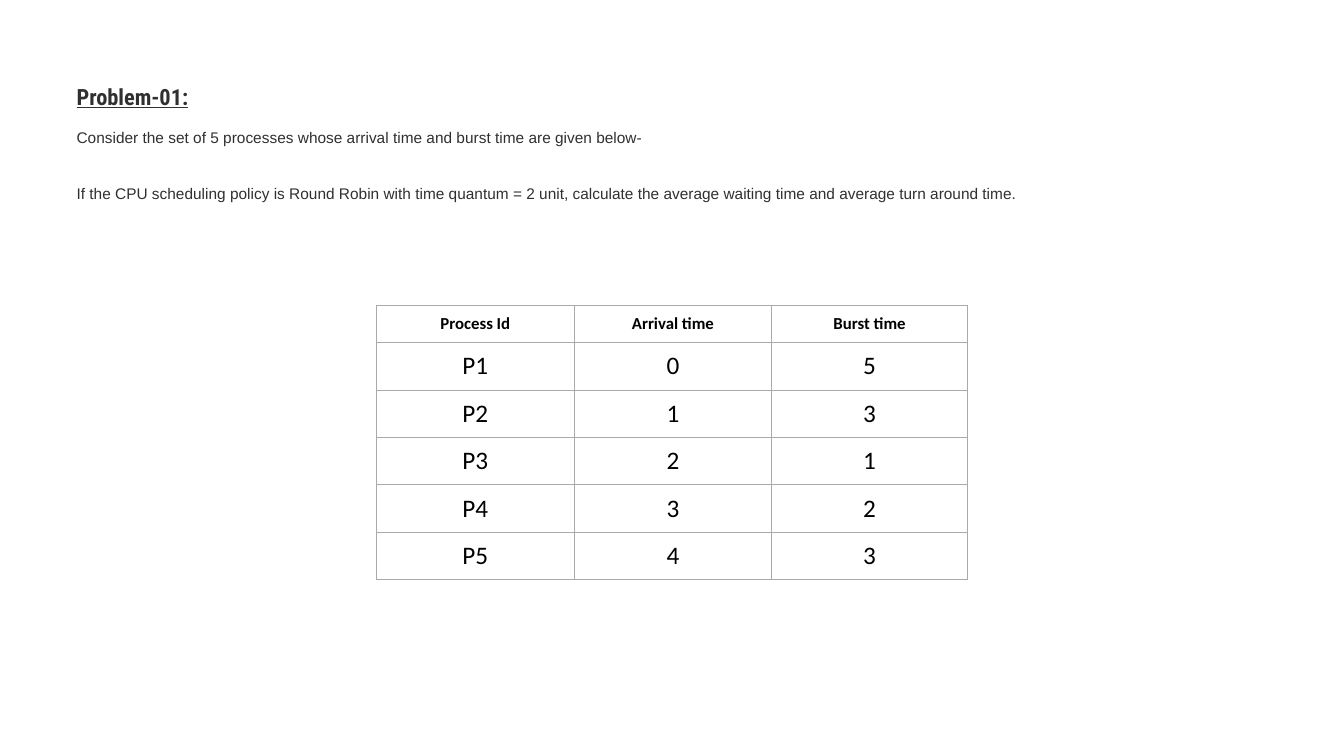
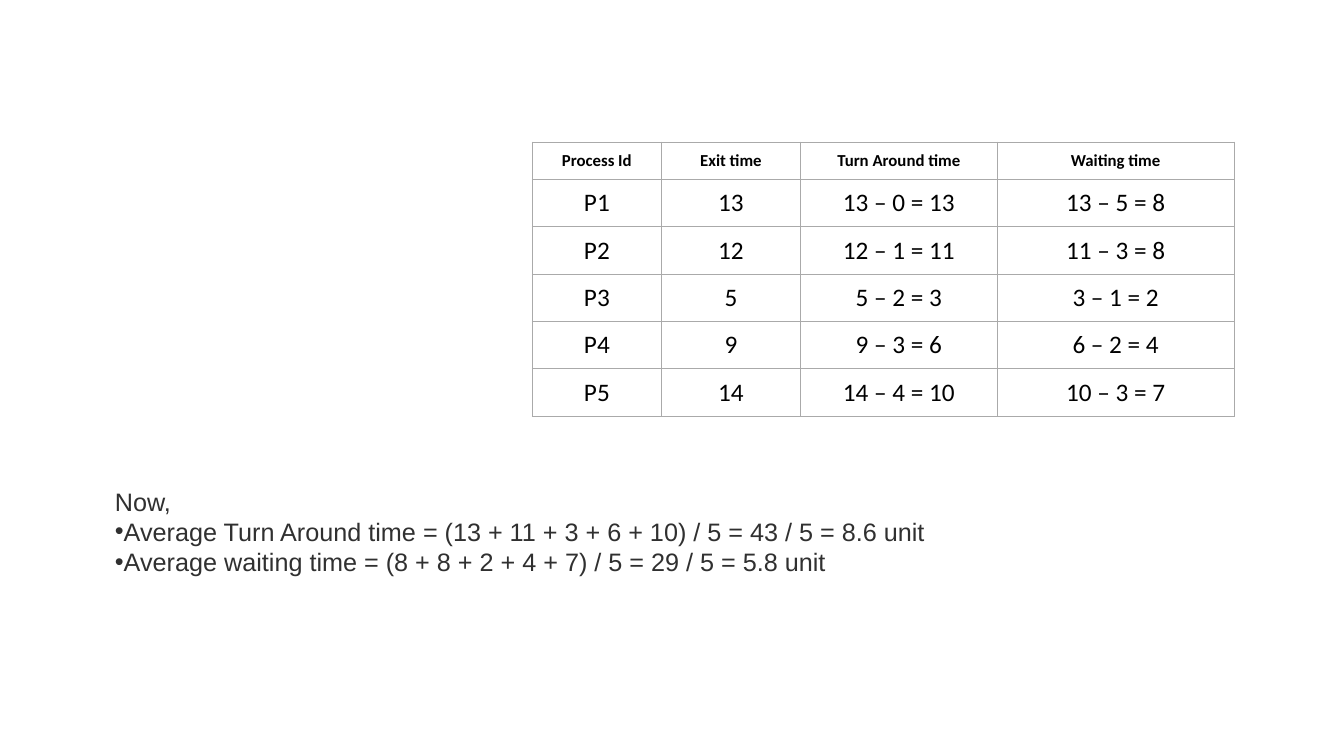
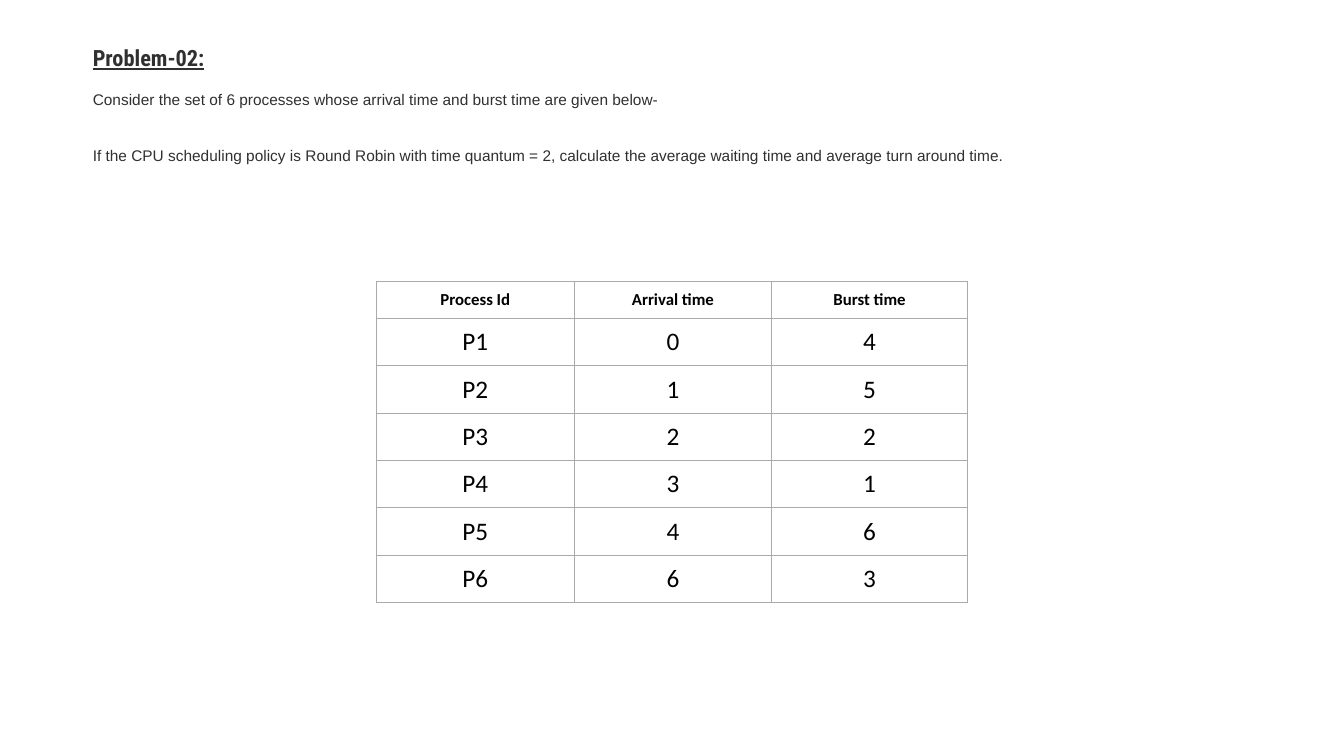
import pptx
import pptx.dml.color
import pptx.enum.text
import pptx.util
from lxml import etree
from pptx.util import Inches, Pt

INK = pptx.dml.color.RGBColor(0x30, 0x30, 0x30)
BLACK = pptx.dml.color.RGBColor(0, 0, 0)
WHITE = pptx.dml.color.RGBColor(0xFF, 0xFF, 0xFF)
GRID = pptx.dml.color.RGBColor(0xAA, 0xAA, 0xAA)
DRAWING_NS = "http://schemas.openxmlformats.org/drawingml/2006/main"

HEADING = {"name": "Roboto Condensed", "size": Pt(16), "bold": True, "underline": True}
STATEMENT = {"name": "Arial", "size": Pt(11), "bold": False}
RESULT = {"name": "Arial", "size": Pt(18), "bold": False}
TABLE_HEADER = {"name": "Calibri", "size": Pt(12), "bold": True}
TABLE_BODY = {"name": "Calibri", "size": Pt(18), "bold": False}

LEFT = pptx.enum.text.PP_ALIGN.LEFT
CENTER = pptx.enum.text.PP_ALIGN.CENTER
FRAME = {
    "margin_left": 0, "margin_right": 0, "margin_bottom": 0,
    "word_wrap": True,
    "auto_size": pptx.enum.text.MSO_AUTO_SIZE.NONE,
    "vertical_anchor": pptx.enum.text.MSO_ANCHOR.TOP,
}
CELL = {
    "margin_left": Inches(0.1), "margin_right": Inches(0.1),
    "margin_top": Inches(0.08), "margin_bottom": Inches(0.08),
    "vertical_anchor": pptx.enum.text.MSO_ANCHOR.MIDDLE,
}

STATEMENT_OFFSET = 0.45
STATEMENT_GAP = 26.7
HEADER_HEIGHT, ROW_HEIGHT = 0.37, 0.47
TIMES_HEADER = ["Process Id", "Arrival time", "Burst time"]
TIMES_WIDTHS = [1.97, 1.95, 1.95]
TIMES_LEFT = 3.73


def apply(target, values):
    for attribute, value in values.items():
        setattr(target, attribute, value)


def write(paragraph, text, style, color, align):
    paragraph.alignment = align
    run = paragraph.add_run()
    run.text = text
    apply(run.font, style)
    run.font.color.rgb = color


def set_bullet(paragraph, bullet):
    """Show the bullet right before the text, or none at all."""
    properties = paragraph._p.get_or_add_pPr()
    properties.set("marL", "0")
    properties.set("indent", "0")
    tag = "buChar" if bullet else "buNone"
    mark = etree.SubElement(properties, f"{{{DRAWING_NS}}}{tag}")
    if bullet:
        mark.set("char", bullet)


def fill_placeholder(placeholder, box, lines, style, gap=0, inset=0):
    """Write (bullet, text) lines from inset down, with a gap after each."""
    placement = zip(("left", "top", "width", "height"), map(Inches, box))
    apply(placeholder, dict(placement))
    frame = placeholder.text_frame
    apply(frame, {**FRAME, "margin_top": Inches(inset)})
    for index, (bullet, text) in enumerate(lines):
        paragraph = frame.add_paragraph() if index else frame.paragraphs[0]
        write(paragraph, text, style, INK, LEFT)
        apply(paragraph, {"space_before": Pt(0), "space_after": Pt(gap), "line_spacing": 1.0})
        set_bullet(paragraph, bullet)


def fill_white(target):
    target.fill.solid()
    target.fill.fore_color.rgb = WHITE


def add_borders(cell):
    properties = cell._tc.get_or_add_tcPr()
    for position, side in enumerate(("lnL", "lnR", "lnT", "lnB")):
        line = etree.Element(f"{{{DRAWING_NS}}}{side}", w=str(Pt(0.75)))
        fill = etree.SubElement(line, f"{{{DRAWING_NS}}}solidFill")
        etree.SubElement(fill, f"{{{DRAWING_NS}}}srgbClr", val=str(GRID))
        properties.insert(position, line)


def add_process_table(slide, left, top, widths, header, processes):
    rows = [header] + processes
    heights = [HEADER_HEIGHT] + [ROW_HEIGHT] * len(processes)
    table = slide.shapes.add_table(
        len(rows), len(widths), Inches(left), Inches(top),
        Inches(sum(widths)), Inches(sum(heights))).table
    apply(table, {"first_row": False, "horz_banding": False})
    for column, width in zip(table.columns, widths):
        column.width = Inches(width)
    for row_index, (row, values) in enumerate(zip(table.rows, rows)):
        row.height = Inches(heights[row_index])
        style = TABLE_BODY if row_index else TABLE_HEADER
        for cell, value in zip(row.cells, values):
            apply(cell, CELL)
            write(cell.text_frame.paragraphs[0], str(value), style, BLACK, CENTER)
            fill_white(cell)
            add_borders(cell)


def add_content_slide(deck):
    """Return a new slide with its title and its white body panel."""
    slide = deck.slides.add_slide(deck.slide_layouts[1])
    body = slide.placeholders[1]
    fill_white(body)
    return slide, slide.shapes.title, body


def add_problem_slide(deck, number, quantum, heading_top, panel, table_top, times):
    """Heading, two-line statement, and a table of (arrival, burst) times."""
    slide, title, body = add_content_slide(deck)
    left, panel_top, width, _ = panel
    body.element.addnext(title.element)  # the heading stays above the panel
    fill_placeholder(title, (left, heading_top, width, 0.3),
                     [(None, f"Problem-{number:02}:")], HEADING)
    statement = [
        (None, f"Consider the set of {len(times)} processes whose arrival time "
               "and burst time are given below-"),
        (None, f"If the CPU scheduling policy is Round Robin with time quantum = {quantum}, "
               "calculate the average waiting time and average turn around time."),
    ]
    fill_placeholder(body, panel, statement, STATEMENT, gap=STATEMENT_GAP,
                     inset=heading_top + STATEMENT_OFFSET - panel_top)
    processes = [[f"P{index}", *pair] for index, pair in enumerate(times, 1)]
    add_process_table(slide, TIMES_LEFT, table_top, TIMES_WIDTHS, TIMES_HEADER, processes)


def add_solution_slide(deck):
    slide, title, body = add_content_slide(deck)
    title.element.getparent().remove(title.element)
    add_process_table(
        slide, 5.28, 1.41, [1.28, 1.38, 1.95, 2.35],
        ["Process Id", "Exit time", "Turn Around time", "Waiting time"],
        [
            ["P1", 13, "13 – 0 = 13", "13 – 5 = 8"],
            ["P2", 12, "12 – 1 = 11", "11 – 3 = 8"],
            ["P3", 5, "5 – 2 = 3", "3 – 1 = 2"],
            ["P4", 9, "9 – 3 = 6", "6 – 2 = 4"],
            ["P5", 14, "14 – 4 = 10", "10 – 3 = 7"],
        ])
    averages = [
        (None, "Now,"),
        ("•", "Average Turn Around time = (13 + 11 + 3 + 6 + 10) / 5 = 43 / 5 = 8.6 unit"),
        ("•", "Average waiting time = (8 + 8 + 2 + 4 + 7) / 5 = 29 / 5 = 5.8 unit"),
    ]
    fill_placeholder(body, (1.14, 4.48, 8.11, 1.63), averages, RESULT, inset=0.34)


def main():
    deck = pptx.Presentation()
    apply(deck, {"slide_width": Inches(13.33), "slide_height": Inches(7.5)})
    add_problem_slide(deck, 1, "2 unit", 0.82, (0.76, 1.26, 12.57, 0.8), 3.03,
                      [(0, 5), (1, 3), (2, 1), (3, 2), (4, 3)])
    add_solution_slide(deck)
    add_problem_slide(deck, 2, "2", 0.44, (0.92, 0.4, 11.5, 1.45), 2.79,
                      [(0, 4), (1, 5), (2, 2), (3, 1), (4, 6), (6, 3)])
    deck.save("out.pptx")


if __name__ == "__main__":
    main()
